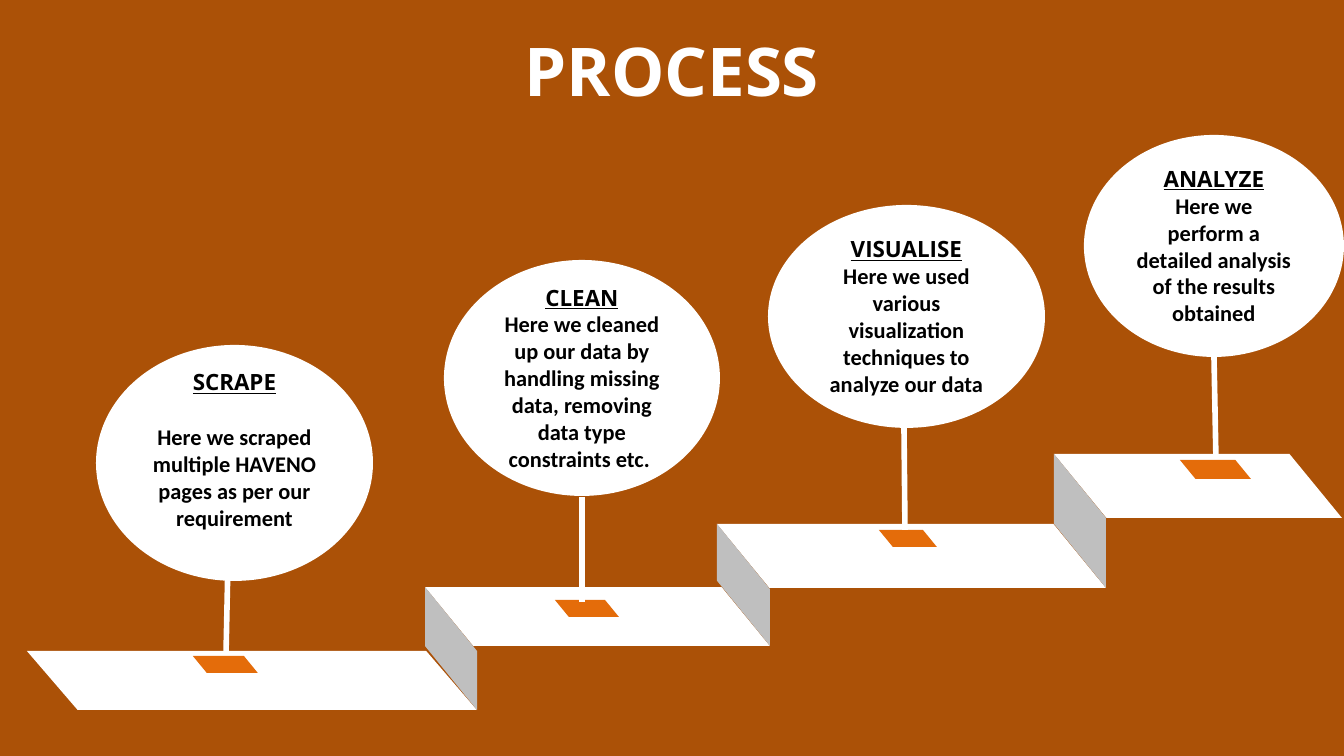
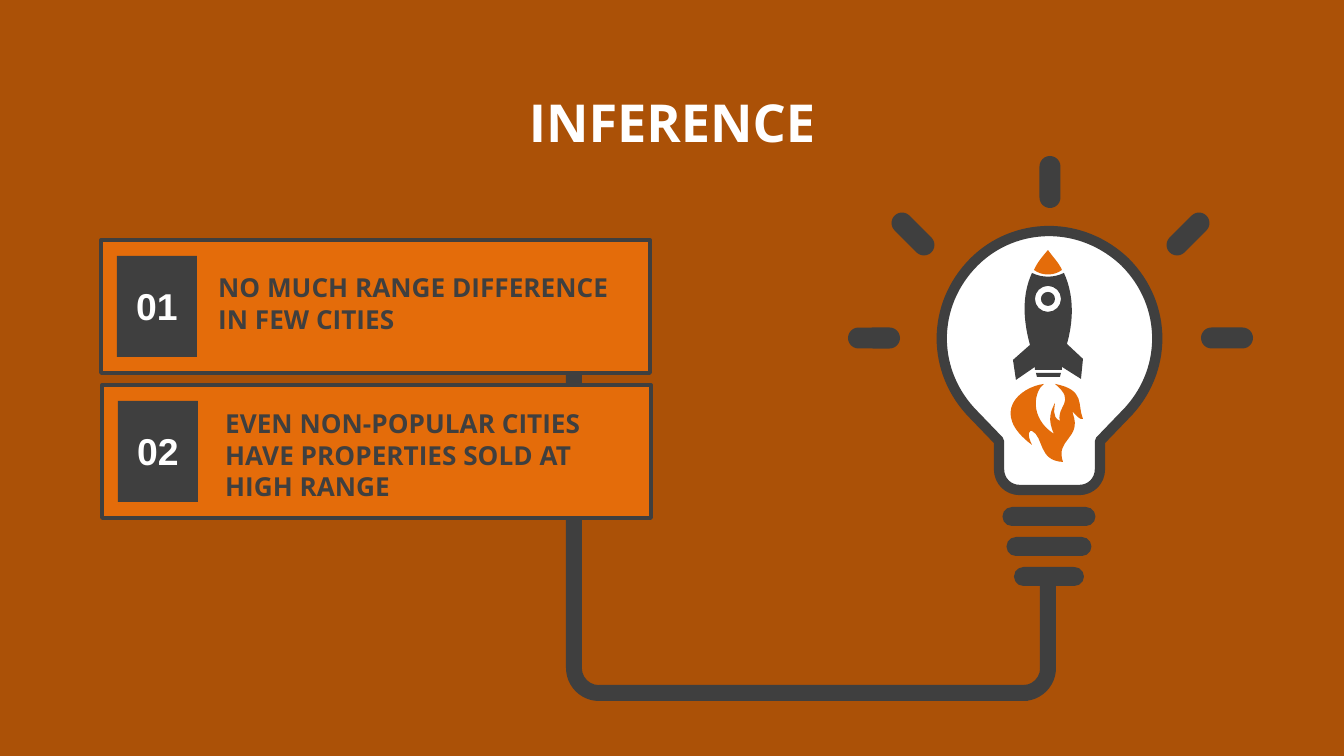
from lxml import etree
from pptx import Presentation
from pptx.dml.color import RGBColor
from pptx.enum.shapes import MSO_CONNECTOR, MSO_SHAPE
from pptx.enum.text import MSO_ANCHOR, PP_ALIGN
from pptx.oxml.ns import qn
from pptx.util import Pt

PX = 914400 / 134.4
WIDTH, HEIGHT = 1344, 756

RUST = RGBColor(0xAB, 0x51, 0x07)
ORANGE = RGBColor(0xE4, 0x6C, 0x0A)
DARK = RGBColor(0x3F, 0x3F, 0x3F)
GREY = RGBColor(0xBF, 0xBF, 0xBF)
WHITE = RGBColor(0xFF, 0xFF, 0xFF)
BLACK = RGBColor(0, 0, 0)

HEAD_FONT, BODY_FONT, NUMBER_FONT = "Open Sans", "Calibri", "Arial"

RECT = MSO_SHAPE.RECTANGLE
PILL = MSO_SHAPE.ROUNDED_RECTANGLE
OVAL = MSO_SHAPE.OVAL
SLANT = MSO_SHAPE.PARALLELOGRAM
ARC = MSO_SHAPE.BLOCK_ARC
LEFT, CENTER, RIGHT = PP_ALIGN.LEFT, PP_ALIGN.CENTER, PP_ALIGN.RIGHT
TOP, MIDDLE = MSO_ANCHOR.TOP, MSO_ANCHOR.MIDDLE

# Boxes are (left, top, width, height); a stem is (x1, y1, x2, y2).
STEPS = [
    dict(head="SCRAPE",
         body=["Here we scraped multiple HAVENO pages as per our requirement"],
         gap=15, lift=26, oval=(96, 345, 277, 236), stem=(228, 562, 226, 655),
         tile=(27, 651, 450, 59), slant=0.86, mark=(193, 656, 65, 17)),
    dict(head="CLEAN",
         body=["Here we cleaned up our data by handling missing data, "
               "removing data type constraints etc. "],
         gap=0, lift=0, oval=(444, 260, 276, 236), stem=(582, 497, 582, 602),
         tile=(425, 587, 345, 59), slant=0.82, mark=(555, 600, 64, 17)),
    dict(head="VISUALISE",
         body=["Here we used various visualization techniques to analyze our data"],
         gap=0, lift=0, oval=(768, 205, 277, 223), stem=(904, 425, 905, 530),
         tile=(717, 524, 389, 64), slant=0.82, mark=(879, 530, 58, 17)),
    dict(head="ANALYZE",
         body=["Here we perform a detailed analysis of the results", "obtained"],
         gap=0, lift=0, oval=(1084, 135, 260, 222), stem=(1214, 357, 1216, 459),
         tile=(1054, 454, 288, 64), slant=0.82, mark=(1180, 460, 71, 19)),
]

# Text, then its box relative to the card.
FINDINGS = [
    ("NO MUCH RANGE DIFFERENCE IN FEW CITIES", (104, 25, 423, 77)),
    ("EVEN NON-POPULAR CITIES HAVE PROPERTIES SOLD AT HIGH RANGE", (110, 16, 423, 109)),
]

CABLE = [(566, 261, 16, 407), (599, 685, 429, 16), (1040, 585, 16, 84)]
BENDS = [((566, 635, 66, 66), 0), ((990, 635, 66, 66), 270)]
BULB_X = 1049
SCREW_WIDTHS = [93, 85, 70]
# Centre and turn of each ray.
RAYS = [(874, 338, 270), (913, 234, 315), (1050, 182, 0), (1188, 234, 45), (1227, 338, 90)]

# Outlines: a start point, then lines (2 numbers) and cubic curves (6 numbers).
BULB = [(1049, 231), (1077, 231, 1104, 242, 1125, 262), (1168, 305, 1168, 372, 1125, 415),
        (1100, 441), (1100, 469), (1100, 481, 1091, 490, 1079, 490), (1020, 490),
        (1008, 490, 999, 481, 999, 469), (999, 441), (974, 415),
        (931, 372, 931, 305, 974, 262), (994, 242, 1021, 231, 1049, 231)]
BODY = [(1032, 273), (1042, 278, 1054, 278, 1064, 273), (1075, 297, 1073, 323, 1067, 344),
        (1083, 359), (1081, 379), (1062, 367), (1062, 370), (1035, 370), (1035, 367),
        (1016, 380), (1013, 360), (1030, 345), (1024, 323, 1021, 297, 1032, 273)]
NOZZLE = [(1036, 373), (1061, 373), (1060, 377), (1037, 377)]
CONE = [(1048, 250), (1053, 257, 1059, 263, 1062, 270), (1054, 276, 1042, 276, 1034, 270),
        (1037, 263, 1042, 257, 1048, 250)]
FLAME = [(1044, 384), (1034, 391, 1029, 418, 1054, 434), (1047, 419, 1051, 411, 1055, 403),
         (1055, 407, 1051, 417, 1060, 421), (1056, 406, 1077, 402, 1055, 384),
         (1086, 390, 1077, 405, 1083, 419), (1078, 421, 1071, 407, 1073, 414),
         (1082, 439, 1055, 439, 1063, 462), (1038, 461, 1044, 437, 1032, 431),
         (1030, 430, 1026, 433, 1032, 445), (989, 413, 1020, 387, 1044, 384)]


def emu(*lengths):
    return [round(v * PX) for v in lengths]


def paint(sp, fill, line=None, weight=0):
    sp.shadow.inherit = False
    sp.fill.solid()
    sp.fill.fore_color.rgb = fill
    if line is None:
        sp.line.fill.background()
    else:
        sp.line.color.rgb = line
        sp.line.width = Pt(weight)


def add_shape(s, kind, box, fill, adj=(), turn=0, flip=False, **outline):
    sp = s.shapes.add_shape(kind, *emu(*box))
    paint(sp, fill, **outline)
    for i, value in enumerate(adj):
        sp.adjustments[i] = value
    sp.rotation = turn
    if flip:
        sp._element.spPr.find(qn("a:xfrm")).set("flipH", "1")
    return sp


def add_line(s, ends, color, weight):
    cn = s.shapes.add_connector(MSO_CONNECTOR.STRAIGHT, *emu(*ends))
    cn.line.color.rgb = color
    cn.line.width = Pt(weight)
    etree.SubElement(cn._element.spPr, qn("a:effectLst"))


def circle(cx, cy, r):
    k = 0.55 * r
    return [(cx + r, cy),
            (cx + r, cy + k, cx + k, cy + r, cx, cy + r),
            (cx - k, cy + r, cx - r, cy + k, cx - r, cy),
            (cx - r, cy - k, cx - k, cy - r, cx, cy - r),
            (cx + k, cy - r, cx + r, cy - k, cx + r, cy)]


def bend_curves(sp, contours):
    """Merge each three line steps that stand for a curve into one cubic step."""
    nodes = iter(list(next(sp._element.iter(qn("a:path")))))
    for contour in contours:
        next(nodes)  # move
        for seg in contour[1:]:
            step, *rest = [next(nodes) for _ in range(len(seg) // 2)]
            if rest:
                curve = etree.Element(qn("a:cubicBezTo"))
                step.addprevious(curve)
                for node in (step, *rest):
                    curve.append(node[0])
                    node.getparent().remove(node)
        next(nodes)  # close


def add_outline(s, contours, fill, **outline):
    """Draw contours as one freeform; inner contours become holes."""
    fb = s.shapes.build_freeform(*emu(*contours[0][0]), scale=1.0)
    for i, (start, *segs) in enumerate(contours):
        if i:
            fb.move_to(*emu(*start))
        points = [emu(*seg[j:j + 2]) for seg in segs for j in range(0, len(seg), 2)]
        fb.add_line_segments(points, close=True)
    sp = fb.convert_to_shape()
    bend_curves(sp, contours)
    paint(sp, fill, **outline)


def write(sp, text, size=12, font=HEAD_FONT, color=WHITE, align=LEFT, anchor=TOP,
          underline=False, before=0):
    """Add one bold paragraph to a shape, using its first one if still empty."""
    tf = sp.text_frame
    tf.word_wrap = True
    tf.vertical_anchor = anchor
    p = tf.add_paragraph() if tf.text else tf.paragraphs[0]
    p.alignment = align
    if before:
        p.space_before = Pt(before)
    r = p.add_run()
    r.text = text
    r.font.name, r.font.size, r.font.bold = font, Pt(size), True
    r.font.underline = underline
    r.font.color.rgb = color


def add_text(s, box, text, **fmt):
    write(s.shapes.add_textbox(*emu(*box)), text, **fmt)


def add_slide(prs, title, size, top, height):
    s = prs.slides.add_slide(prs.slide_layouts[6])
    s.background.fill.solid()
    s.background.fill.fore_color.rgb = RUST
    add_text(s, (0, top, WIDTH, height), title, size=size, align=CENTER, anchor=MIDDLE)
    return s


def add_riser(s, lower, upper):
    """Join two tiles with an upright side, a parallelogram turned by 90 degrees."""
    left, top = upper[:2]
    wide, tall = lower[0] + lower[2] - left, lower[1] + lower[3] - top
    shift = (tall - wide) / 2
    add_shape(s, SLANT, (left - shift, top + shift, tall, wide), GREY, adj=[1.23], turn=90)


def build_process(prs):
    s = add_slide(prs, "PROCESS", 36, 17, 105)
    for step in STEPS:
        add_shape(s, SLANT, step["tile"], WHITE, adj=[step["slant"]], flip=True)
    for lower, upper in zip(STEPS, STEPS[1:]):
        add_riser(s, lower["tile"], upper["tile"])
    for step in STEPS:
        add_shape(s, SLANT, step["mark"], ORANGE, adj=[0.82], flip=True)
        sp = add_shape(s, OVAL, step["oval"], WHITE)
        sp.text_frame.margin_bottom = emu(7 + step["lift"])[0]
        fmt = dict(color=BLACK, align=CENTER, anchor=MIDDLE)
        write(sp, step["head"], underline=True, **fmt)
        for i, text in enumerate(step["body"]):
            write(sp, text, font=BODY_FONT, before=0 if i else step["gap"], **fmt)
        add_line(s, step["stem"], WHITE, 3)


def build_findings(s):
    for i, (text, (dx, dy, w, h)) in enumerate(FINDINGS):
        x, y = 101 + i, 240 + 145 * i
        add_shape(s, RECT, (x, y, 549, 133), ORANGE, line=DARK, weight=2)
        add_shape(s, RECT, (x + 16, y + 16, 80, 101), DARK)
        add_text(s, (x + dx, y + dy, w, h), text, size=14, color=DARK)
        add_text(s, (x + 21, y + 37, 69, 59), f"{i + 1:02}", size=20,
                 font=NUMBER_FONT, align=RIGHT)


def build_bulb(s):
    add_outline(s, [BULB], WHITE, line=DARK, weight=5.5)
    for i, w in enumerate(SCREW_WIDTHS):
        add_shape(s, PILL, (BULB_X - w / 2, 507 + 30 * i, w, 19), DARK, adj=[0.5])
    for cx, cy, turn in RAYS:
        add_shape(s, PILL, (cx - 10.5, cy - 26, 21, 52), DARK, adj=[0.5], turn=turn)
    add_outline(s, [NOZZLE, circle(1048, 299, 7), circle(1048, 299, 13), BODY], DARK)
    add_outline(s, [CONE], ORANGE)
    add_outline(s, [FLAME], ORANGE)


def build_inference(prs):
    s = add_slide(prs, "INFERENCE", 28, 79, 85)
    for box in CABLE:
        add_shape(s, RECT, box, DARK)
    for box, turn in BENDS:
        add_shape(s, ARC, box, DARK, adj=[54, 108, 0.24], turn=turn)
    build_findings(s)
    build_bulb(s)


def main():
    prs = Presentation()
    prs.slide_width, prs.slide_height = emu(WIDTH, HEIGHT)
    build_process(prs)
    build_inference(prs)
    prs.save("out.pptx")


if __name__ == "__main__":
    main()
